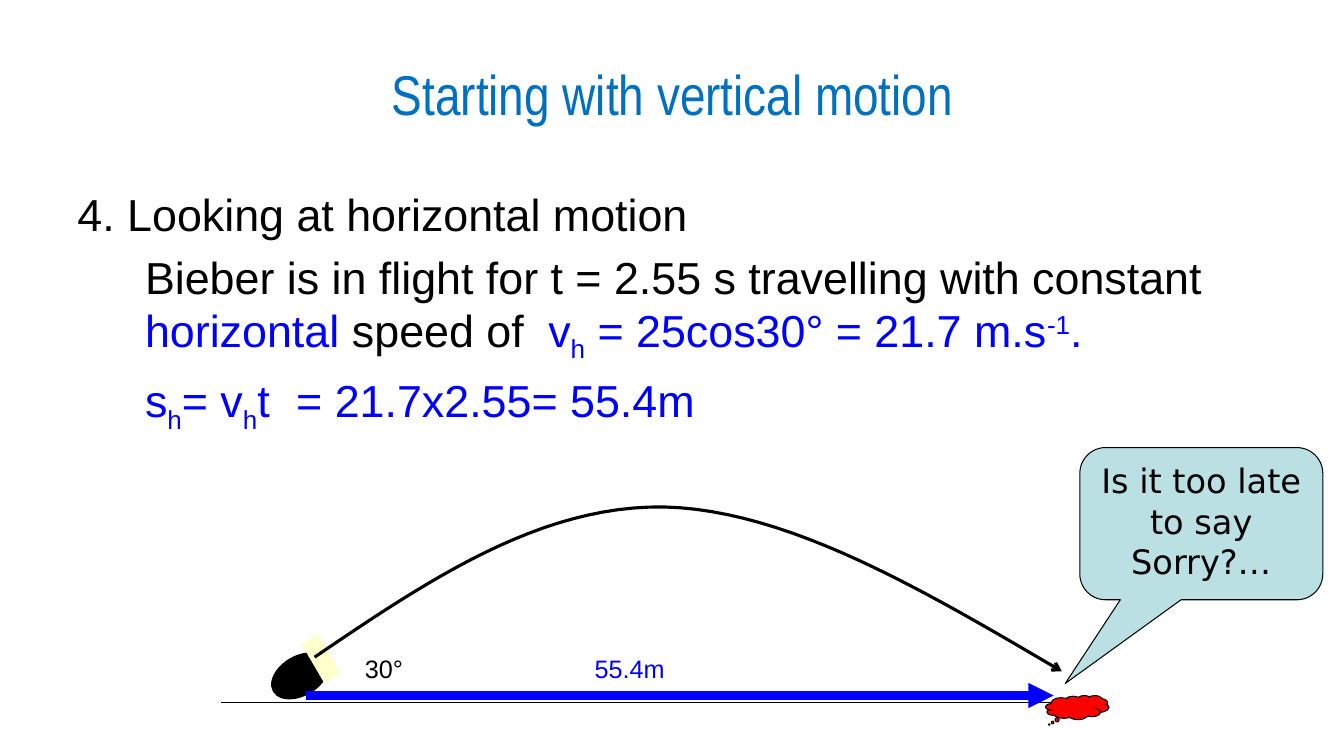
from lxml import etree
from pptx import Presentation
from pptx.dml.color import RGBColor
from pptx.enum.shapes import MSO_CONNECTOR, MSO_SHAPE
from pptx.enum.text import MSO_ANCHOR, PP_ALIGN
from pptx.oxml.ns import qn
from pptx.util import Inches, Pt

CENTER, LEFT = PP_ALIGN.CENTER, PP_ALIGN.LEFT
TOP, MIDDLE = MSO_ANCHOR.TOP, MSO_ANCHOR.MIDDLE

THEME = {
    "title": ("Arial Narrow", 40), "body": ("Arial", 32),
    "label": ("Arial", 18), "speech": ("DejaVu Sans", 24),
    "heading": "0070C0", "black": "000000", "blue": "0000FF",
    "cream": "FFFFCC", "red": "FF0000", "pale": "BBE0E3",
}

TITLE = [[("Starting with vertical motion", "heading", 0)]]
WORKING = [
    [("4. Looking at horizontal motion", "black", 0)],
    [("\tBieber is in flight for t = 2.55 s travelling with constant ", "black", 0),
     ("horizontal", "blue", 0), (" speed of \t", "black", 0), ("v", "blue", 0),
     ("h", "blue", -25), (" = 25cos30° = 21.7 m.s", "blue", 0),
     ("-1", "blue", 30), (".", "blue", 0)],
    [("\ts", "blue", 0), ("h", "blue", -25), ("= v", "blue", 0),
     ("h", "blue", -25), ("t\t= 21.7x2.55= 55.4m", "blue", 0)],
]
ANGLE = [[("30°", "black", 0)]]
RANGE = [[("55.4m", "blue", 0)]]
SPEECH = [[("Is it too late to say Sorry?…", "black", 0)]]

GROUND = ((2.19, 6.97), (10.57, 6.97))
DISPLACEMENT = ((3.04, 6.9), (10.45, 6.9))
FLIGHT = [
    ((3.12, 6.52), (4.24, 5.76), (5.35, 5.01), (6.59, 5.03)),
    ((6.59, 5.03), (7.82, 5.06), (9.17, 5.86), (10.53, 6.66)),
]
CURVE_STEPS = 24
CANNON_TILT = -30.3

prs = Presentation()
prs.slide_width, prs.slide_height = Inches(13.33), Inches(7.5)
slide = prs.slides.add_slide(prs.slide_layouts[6])


def color(name):
    return RGBColor.from_string(THEME[name])


def write(frame, paragraphs, style, align=LEFT, anchor=TOP, hanging=0.0):
    frame.word_wrap = True
    frame.vertical_anchor = anchor
    family, size = THEME[style]
    for index, runs in enumerate(paragraphs):
        para = frame.paragraphs[0] if index == 0 else frame.add_paragraph()
        para.alignment = align
        if index:
            para.space_before = Pt(0.2 * size)
        if hanging:
            props = para._p.get_or_add_pPr()
            props.set("marL", str(Inches(hanging)))
            props.set("indent", str(-Inches(hanging)))
        para.font.name, para.font.size = family, Pt(size)
        for words, tint, baseline in runs:
            run = para.add_run()
            run.text = words
            run.font.color.rgb = color(tint)
            if baseline:
                run.font._element.set("baseline", str(baseline * 1000))


def add_text(box, paragraphs, style, **layout):
    frame = slide.shapes.add_textbox(*map(Inches, box)).text_frame
    write(frame, paragraphs, style, **layout)
    return frame


def add_filled(kind, box, fill, outlined=True, tilt=0, adjust=()):
    shape = slide.shapes.add_shape(kind, *map(Inches, box))
    shape.shadow.inherit = False
    shape.fill.solid()
    shape.fill.fore_color.rgb = color(fill)
    shape.rotation = tilt
    for index, value in enumerate(adjust):
        shape.adjustments[index] = value
    if outlined:
        set_line(shape.line, "black", 0.75)
    else:
        shape.line.fill.background()
    return shape


def set_line(line, tint, width, arrow=None):
    line.color.rgb = color(tint)
    line.width = Pt(width)
    if arrow:
        etree.SubElement(line._get_or_add_ln(), qn("a:tailEnd"), type=arrow)


def add_line(ends, tint, width, arrow=None):
    (x1, y1), (x2, y2) = ends
    line = slide.shapes.add_connector(
        MSO_CONNECTOR.STRAIGHT, Inches(x1), Inches(y1), Inches(x2), Inches(y2))
    set_line(line.line, tint, width, arrow)
    etree.SubElement(line._element.spPr, qn("a:effectLst"))


def bezier(controls, t):
    weights = ((1 - t) ** 3, 3 * t * (1 - t) ** 2, 3 * t * t * (1 - t), t ** 3)
    return tuple(Inches(sum(w * point[axis] for w, point in zip(weights, controls)))
                 for axis in (0, 1))


add_text((0.67, 0.3, 12, 1.25), TITLE, "title", align=CENTER, anchor=MIDDLE)
working = add_text((0.67, 1.75, 12, 4.95), WORKING, "body", hanging=0.67)
working.margin_top = Inches(0.1)

add_line(GROUND, "black", 0.75)
add_filled(MSO_SHAPE.OVAL, (2.67, 6.51, 0.61, 0.39), "black", tilt=CANNON_TILT)
add_filled(MSO_SHAPE.RECTANGLE, (3.09, 6.31, 0.19, 0.45), "cream",
           outlined=False, tilt=CANNON_TILT)
add_text((3.52, 6.43, 0.87, 0.4), ANGLE, "label")
add_line(DISPLACEMENT, "blue", 6, "triangle")
add_text((5.8, 6.43, 2.28, 0.4), RANGE, "label")
add_filled(MSO_SHAPE.CLOUD_CALLOUT, (10.37, 6.9, 0.63, 0.24), "red",
           adjust=(-0.44, 0.7))

points = [bezier(curve, step / CURVE_STEPS)
          for curve in FLIGHT for step in range(1, CURVE_STEPS + 1)]
builder = slide.shapes.build_freeform(*bezier(FLIGHT[0], 0))
builder.add_line_segments(points, close=False)
flight = builder.convert_to_shape()
flight.shadow.inherit = False
flight.fill.background()
set_line(flight.line, "black", 2.25, "arrow")

speech = add_filled(MSO_SHAPE.ROUNDED_RECTANGULAR_CALLOUT, (10.71, 4.44, 2.41, 1.51),
                    "pale", adjust=(-0.56, 1.05, 0.17))
write(speech.text_frame, SPEECH, "speech", align=CENTER)

prs.save("out.pptx")
